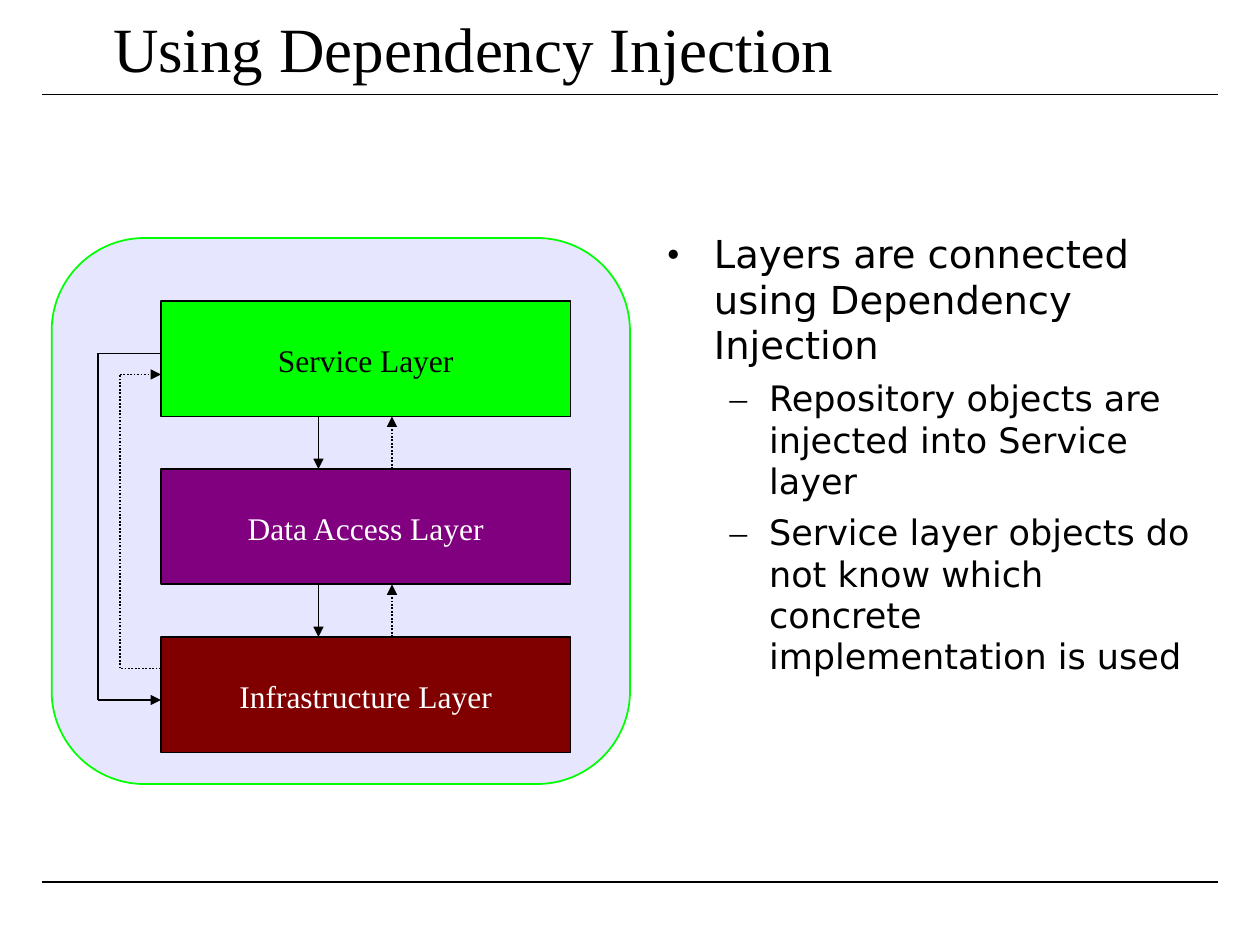
from lxml import etree
from pptx import Presentation
from pptx.dml.color import RGBColor
from pptx.enum.dml import MSO_LINE
from pptx.enum.shapes import MSO_CONNECTOR, MSO_SHAPE
from pptx.enum.text import MSO_ANCHOR, PP_ALIGN
from pptx.oxml.ns import qn
from pptx.util import Pt

BLACK = RGBColor(0x00, 0x00, 0x00)
WHITE = RGBColor(0xFF, 0xFF, 0xFF)
GREEN = RGBColor(0x00, 0xFF, 0x00)
PURPLE = RGBColor(0x80, 0x00, 0x80)
MAROON = RGBColor(0x80, 0x00, 0x00)
LAVENDER = RGBColor(0xE6, 0xE6, 0xFF)
SERIF = "Times New Roman"
SANS = "DejaVu Sans"

deck = Presentation()
deck.slide_width, deck.slide_height = Pt(720), Pt(540)
slide = deck.slides.add_slide(deck.slide_layouts[6])
shapes = slide.shapes


def add_line(x1, y1, x2, y2, arrow=False, dotted=False):
    """Draw a thin black line, with an arrowhead at its end if asked."""
    line = shapes.add_connector(
        MSO_CONNECTOR.STRAIGHT, Pt(x1), Pt(y1), Pt(x2), Pt(y2))
    line.line.color.rgb = BLACK
    line.line.width = Pt(1)
    if dotted:
        line.line.dash_style = MSO_LINE.ROUND_DOT
    if arrow:
        etree.SubElement(line.line._get_or_add_ln(), qn("a:tailEnd"), type="triangle")
    etree.SubElement(line._element.spPr, qn("a:effectLst"))


def add_run(para, text, font, size, color):
    span = para.add_run()
    span.text = text
    span.font.name = font
    span.font.size = Pt(size)
    span.font.color.rgb = color


# Rules above and below the content
for rule_y in (54, 504):
    add_line(24, rule_y, 696, rule_y)

# Title
title = shapes.add_textbox(Pt(27.5), Pt(-13.5), Pt(495), Pt(84)).text_frame
title.word_wrap = True
title.vertical_anchor = MSO_ANCHOR.MIDDLE
title.margin_top = Pt(1)
title.paragraphs[0].alignment = PP_ALIGN.CENTER
add_run(title.paragraphs[0], "Using Dependency Injection ", SERIF, 36, BLACK)

# Panel behind the layers
panel = shapes.add_shape(
    MSO_SHAPE.ROUNDED_RECTANGLE, Pt(29.5), Pt(136), Pt(330.5), Pt(312))
panel.adjustments[0] = 0.17
panel.shadow.inherit = False
panel.fill.solid()
panel.fill.fore_color.rgb = LAVENDER
panel.line.color.rgb = GREEN
panel.line.width = Pt(1)

# Layers, joined by a call arrow down and a dotted arrow back up
LAYER_LEFT, LAYER_TOP, LAYER_WIDTH, LAYER_HEIGHT, LAYER_STEP = 92, 172, 234, 66, 96
layers = [
    ("Service Layer", GREEN, BLACK),
    ("Data Access Layer", PURPLE, WHITE),
    ("Infrastructure Layer", MAROON, WHITE),
]
for index, (name, fill, color) in enumerate(layers):
    top = LAYER_TOP + index * LAYER_STEP
    layer = shapes.add_shape(
        MSO_SHAPE.RECTANGLE, Pt(LAYER_LEFT), Pt(top), Pt(LAYER_WIDTH), Pt(LAYER_HEIGHT))
    layer.shadow.inherit = False
    layer.fill.solid()
    layer.fill.fore_color.rgb = fill
    layer.line.color.rgb = BLACK
    layer.line.width = Pt(1)
    frame = layer.text_frame
    frame.vertical_anchor = MSO_ANCHOR.MIDDLE
    frame.margin_top = Pt(5)
    frame.paragraphs[0].alignment = PP_ALIGN.CENTER
    add_run(frame.paragraphs[0], name, SERIF, 18, color)
    if index > 0:
        previous_bottom = top - LAYER_STEP + LAYER_HEIGHT
        add_line(182, previous_bottom, 182, top, arrow=True)
        add_line(224, top, 224, previous_bottom, arrow=True, dotted=True)

# Side paths between the service and infrastructure layers
for side_x, start_y, end_y, dotted in ((56, 202, 400, False), (68.5, 382, 214, True)):
    add_line(LAYER_LEFT, start_y, side_x, start_y, dotted=dotted)
    add_line(side_x, start_y, side_x, end_y, dotted=dotted)
    add_line(side_x, end_y, LAYER_LEFT, end_y, arrow=True, dotted=dotted)

# Explanation
body = shapes.add_textbox(Pt(381), Pt(132), Pt(302.5), Pt(318)).text_frame
body.word_wrap = True
body.margin_left = body.margin_right = body.margin_bottom = 0
body.margin_top = Pt(1)
points = [
    (0, "Layers are connected using Dependency Injection"),
    (1, "Repository objects are injected into Service layer"),
    (1, "Service layer objects do not know which concrete implementation is used"),
]
# Per level: bullet, left margin, hanging indent, text size
levels = [("•", 27, 27, 22), ("–", 58.5, 22.5, 20)]
for index, (level, text) in enumerate(points):
    bullet, margin, hanging, size = levels[level]
    para = body.add_paragraph() if index else body.paragraphs[0]
    para.level = level
    para.line_spacing = 0.98
    if index:
        para.space_before = Pt(6)
    properties = para._p.get_or_add_pPr()
    properties.set("marL", str(Pt(margin)))
    properties.set("indent", str(-Pt(hanging)))
    etree.SubElement(properties, qn("a:buFont"), typeface=SERIF)
    etree.SubElement(properties, qn("a:buChar"), char=bullet)
    add_run(para, text, SANS, size, BLACK)

deck.save("out.pptx")
